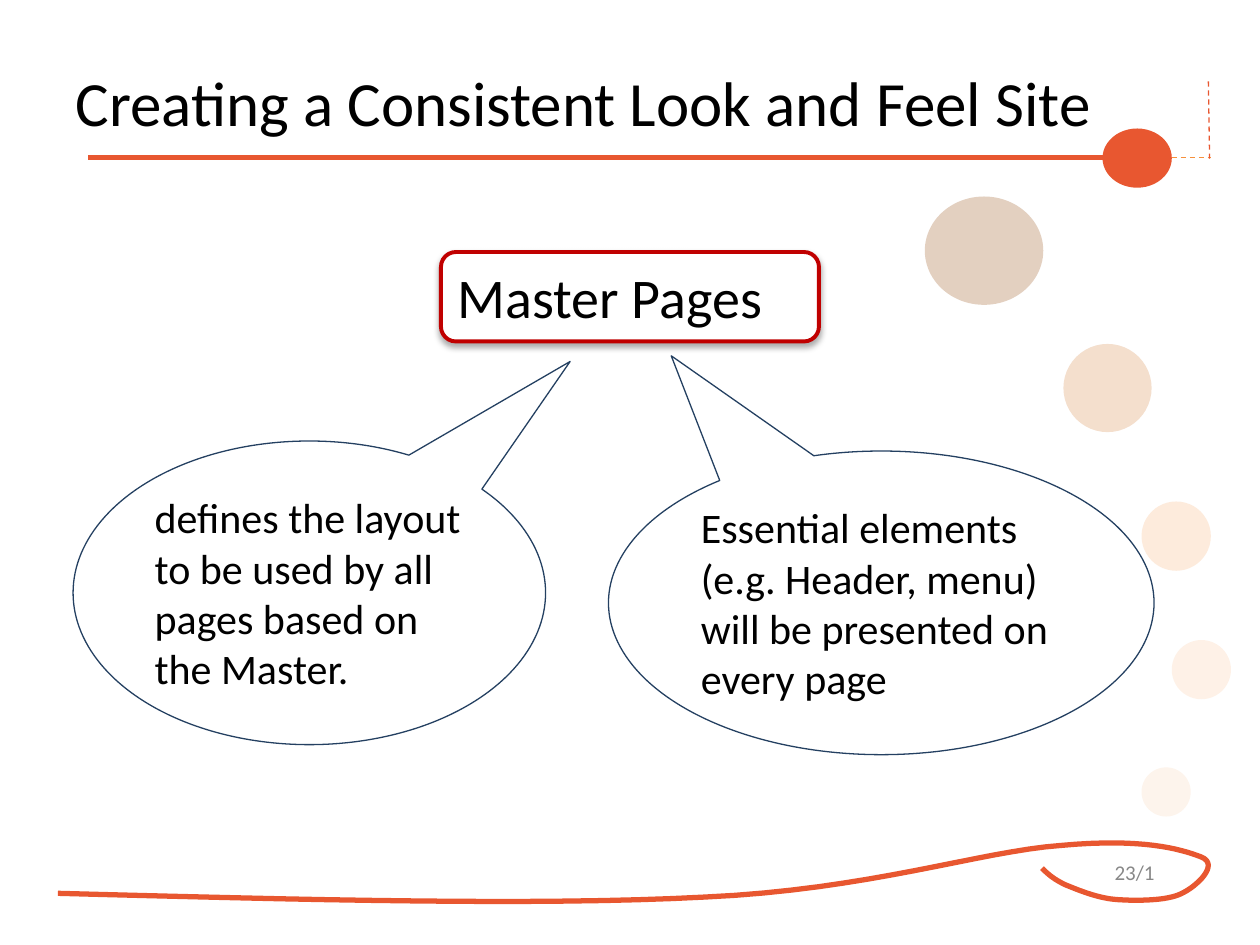
import pptx
import pptx.util
import pptx.dml.color
import pptx.enum.dml
import pptx.enum.shapes
import pptx.enum.text
import pptx.oxml
import pptx.oxml.ns

PX = 9144
COLORS = {
    "accent": "E85730", "dash": "F6903C", "black": "000000", "white": "FFFFFF",
    "grey": "888888", "red": "C00000", "navy": "244061",
    "brown": "904406", "rust": "C85F08", "orange": "F57B17",
    "amber": "F67B16", "peach": "F59545",
}
SHAPE = pptx.enum.shapes.MSO_SHAPE
ALIGN = pptx.enum.text.PP_ALIGN
ANCHOR = pptx.enum.text.MSO_ANCHOR

BUBBLES = [
    (734, 156, 94, 86, "brown", 25),
    (844, 273, 70, 70, "rust", 20),
    (906, 398, 55, 55, "orange", 15),
    (930, 508, 47, 47, "amber", 10),
    (906, 609, 39, 39, "peach", 10),
    (875, 102, 55, 47, "accent", 100),
]
RULES = [
    (70, 125, 875, 125, "accent", 3, False),
    (930, 125, 961, 125, "dash", 0.75, True),
    (960, 126, 959, 62, "accent", 0.75, True),
]
SWIRL_START = (46, 709)
SWIRL_CURVES = [
    ((236, 714), (426, 719), (559, 712)),
    ((691, 706), (776, 676), (842, 671)),
    ((908, 665), (937, 674), (953, 680)),
    ((969, 686), (949, 704), (938, 709)),
    ((927, 715), (902, 715), (887, 714)),
    ((871, 713), (855, 706), (845, 702)),
    ((835, 697), (831, 693), (827, 689)),
]
CALLOUTS = [
    (58, 350, 375, 241, (0.552, -0.762),
     "defines the layout to be used by all pages based on the Master."),
    (483, 358, 433, 241, (-0.385, -0.814),
     "Essential elements (e.g. Header, menu) will be presented on every page"),
]


def rgb(name):
    return pptx.dml.color.RGBColor.from_string(COLORS[name])


def px(*lengths):
    return [length * PX for length in lengths]


def bezier(start, first, second, end, steps=16):
    for step in range(1, steps + 1):
        t = step / steps
        weights = ((1 - t) ** 3, 3 * t * (1 - t) ** 2, 3 * t * t * (1 - t), t ** 3)
        yield tuple(
            sum(w * c for w, c in zip(weights, axis)) * PX
            for axis in zip(start, first, second, end)
        )


class SlideBuilder:
    def __init__(self, page, font="Calibri"):
        self.page = page
        self.font = font

    def set_text(self, frame, text, size, color="black", align=ALIGN.LEFT, anchor=ANCHOR.TOP):
        frame.text = text
        for name, value in {"word_wrap": True, "vertical_anchor": anchor}.items():
            setattr(frame, name, value)
        para = frame.paragraphs[0]
        para.alignment = align
        span = para.runs[0]
        for name, value in {"name": self.font, "size": pptx.util.Pt(size)}.items():
            setattr(span.font, name, value)
        span.font.color.rgb = rgb(color)

    def stroke(self, line, color, width):
        line.color.rgb = rgb(color)
        line.width = pptx.util.Pt(width)

    def title(self, text, *place):
        box = self.page.shapes.title
        for name, value in zip(("left", "top", "width", "height"), px(*place)):
            setattr(box, name, value)
        self.set_text(box.text_frame, text, 36, anchor=ANCHOR.MIDDLE)

    def label(self, text, *place):
        box = self.page.shapes.add_textbox(*px(*place))
        self.set_text(box.text_frame, text, 12, "grey", ALIGN.CENTER, ANCHOR.MIDDLE)

    def shape(self, kind, *place, fill=None, line=None, width=1):
        box = self.page.shapes.add_shape(kind, *px(*place))
        box.shadow.inherit = False
        if fill:
            box.fill.solid()
            box.fill.fore_color.rgb = rgb(fill)
        else:
            box.fill.background()
        if line:
            self.stroke(box.line, line, width)
        else:
            box.line.fill.background()
        return box

    def bubble(self, left, top, width, height, color, opacity):
        box = self.shape(SHAPE.OVAL, left, top, width, height, fill=color)
        if opacity < 100:
            tint = box._element.spPr.find(".//" + pptx.oxml.ns.qn("a:srgbClr"))
            alpha = pptx.oxml.parse_xml(
                f'<a:alpha {pptx.oxml.ns.nsdecls("a")} val="{opacity * 1000}"/>')
            tint.append(alpha)

    def rule(self, x1, y1, x2, y2, color, width, dashed):
        line = self.page.shapes.add_connector(
            pptx.enum.shapes.MSO_CONNECTOR.STRAIGHT, *px(x1, y1, x2, y2))
        self.stroke(line.line, color, width)
        if dashed:
            line.line.dash_style = pptx.enum.dml.MSO_LINE.DASH
        line._element.spPr.append(pptx.oxml.parse_xml(
            f'<a:effectLst {pptx.oxml.ns.nsdecls("a")}/>'))

    def swirl(self, start, curves, color, width):
        builder = self.page.shapes.build_freeform(*px(*start), scale=1.0)
        for curve in curves:
            builder.add_line_segments(list(bezier(start, *curve)), close=False)
            start = curve[-1]
        outline = builder.convert_to_shape()
        outline.shadow.inherit = False
        outline.fill.background()
        self.stroke(outline.line, color, width)

    def heading(self, text, *place):
        box = self.shape(SHAPE.FLOWCHART_ALTERNATE_PROCESS, *place,
                         fill="white", line="red", width=2.25)
        effects = box._element.spPr.find(pptx.oxml.ns.qn("a:effectLst"))
        effects.append(pptx.oxml.parse_xml(
            f'<a:outerShdw {pptx.oxml.ns.nsdecls("a")} blurRad="{pptx.util.Pt(3.5)}" '
            f'dist="{pptx.util.Pt(2.2)}" dir="5400000" rotWithShape="0">'
            f'<a:srgbClr val="{COLORS["black"]}"><a:alpha val="32000"/></a:srgbClr>'
            '</a:outerShdw>'))
        self.set_text(box.text_frame, text, 32)

    def callout(self, left, top, width, height, tip, text):
        box = self.shape(SHAPE.OVAL_CALLOUT, left, top, width, height,
                         line="navy", width=0.75)
        for index, value in enumerate(tip):
            box.adjustments[index] = value
        self.set_text(box.text_frame, text, 24)


def main():
    deck = pptx.Presentation()
    deck.slide_width, deck.slide_height = px(1000, 750)
    slide = SlideBuilder(deck.slides.add_slide(deck.slide_layouts[5]))
    slide.label("23/1", 867, 672, 67, 40)
    slide.swirl(SWIRL_START, SWIRL_CURVES, "accent", 3)
    for rule in RULES:
        slide.rule(*rule)
    for bubble in BUBBLES:
        slide.bubble(*bubble)
    slide.title("Creating a Consistent Look and Feel Site", 50, 20, 908, 121)
    slide.heading("Master Pages", 350, 200, 300, 71)
    for callout in CALLOUTS:
        slide.callout(*callout)
    deck.save("out.pptx")


if __name__ == "__main__":
    main()
